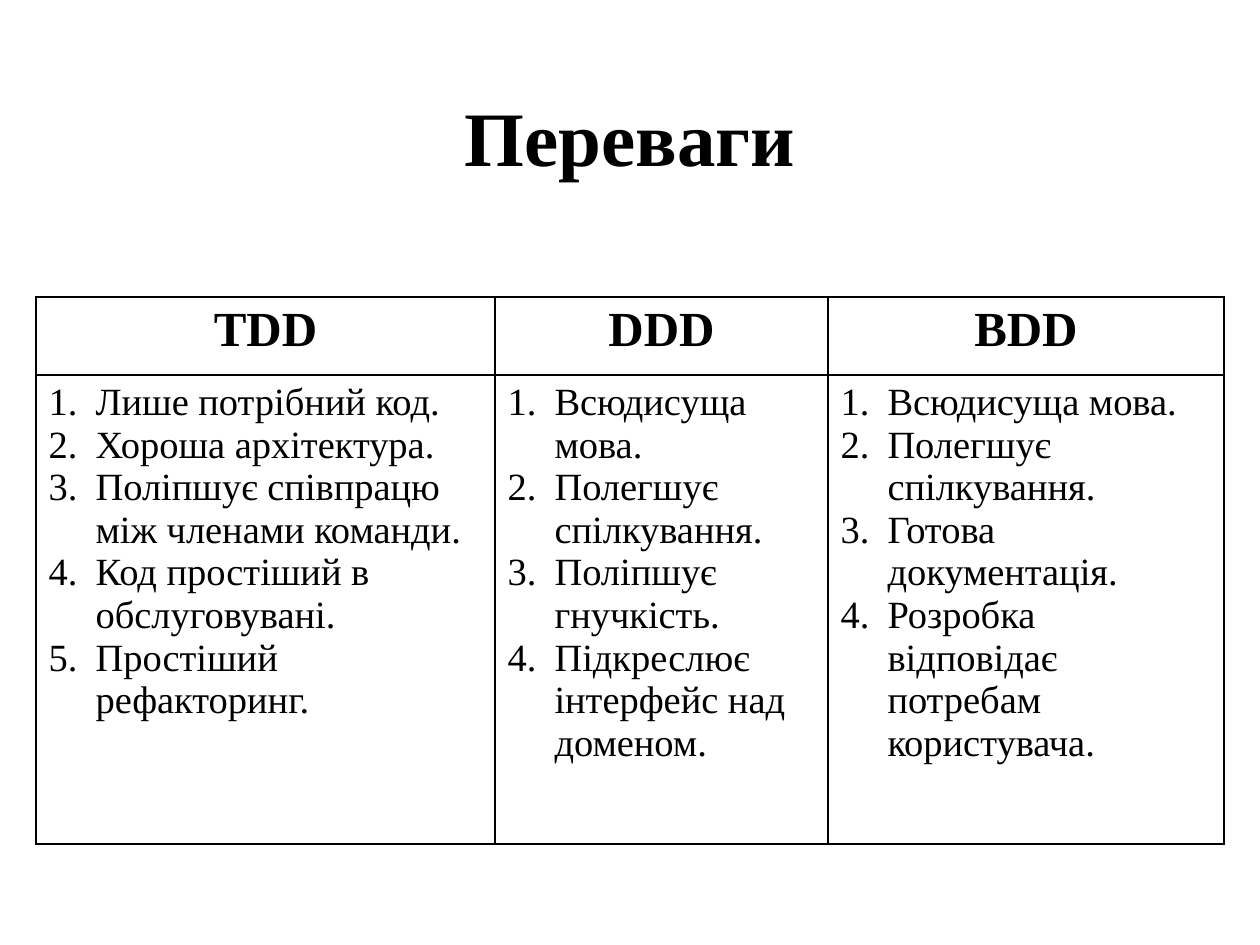
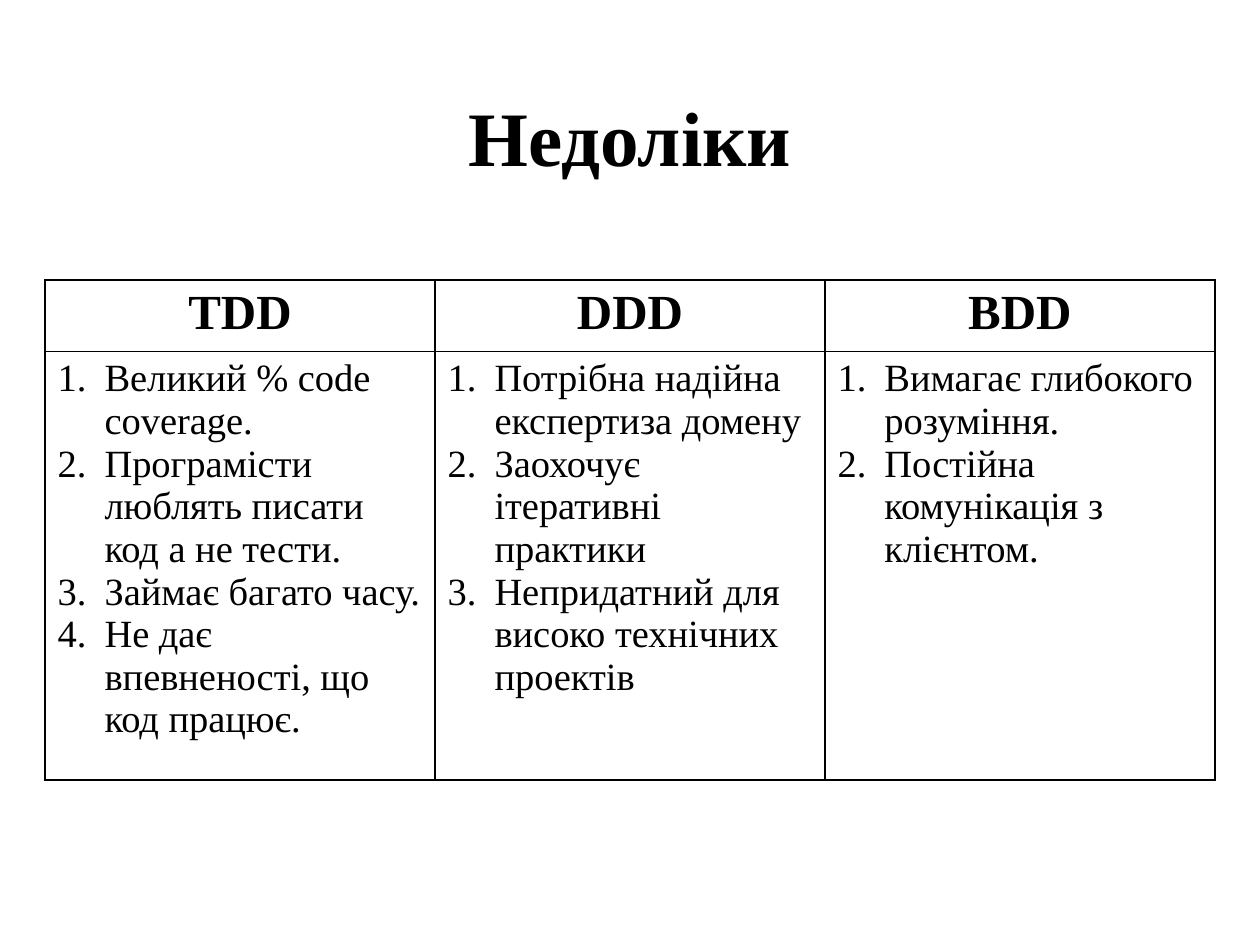
import lxml.etree
import pptx
import pptx.dml.color
import pptx.enum.text
import pptx.oxml.ns
import pptx.util

PX_PER_INCH = 126
SLIDE_WIDTH, SLIDE_HEIGHT = 1260, 945
METHODS = ["TDD", "DDD", "BDD"]

ADVANTAGES = [
    ["Лише потрібний код.", "Хороша архітектура.",
     "Поліпшує співпрацю між членами команди.",
     "Код простіший в обслуговувані.", "Простіший рефакторинг."],
    ["Всюдисуща мова.", "Полегшує спілкування.", "Поліпшує гнучкість.",
     "Підкреслює інтерфейс над доменом."],
    ["Всюдисуща мова.", "Полегшує спілкування.", "Готова документація.",
     "Розробка відповідає потребам користувача."],
]
DRAWBACKS = [
    ["Великий % code coverage.",
     "Програмісти люблять писати код а не тести.",
     "Займає багато часу.", "Не дає впевненості, що код працює."],
    ["Потрібна надійна експертиза домену", "Заохочує ітеративні практики",
     "Непридатний для високо технічних проектів"],
    ["Вимагає глибокого розуміння.", "Постійна комунікація з клієнтом."],
]


def px(length):
    return pptx.util.Emu(round(length * pptx.util.Inches(1) / PX_PER_INCH))


def color(hex_string):
    return pptx.dml.color.RGBColor.from_string(hex_string)


def add_xml(parent, tag, **attributes):
    return lxml.etree.SubElement(parent, pptx.oxml.ns.qn(tag), **attributes)


class ComparisonDeck:
    font = "Times New Roman"
    ink = "000000"
    title_size, header_size, item_size = 44, 28, 22
    border_width = 1
    list_indent = 47

    def __init__(self):
        self.deck = pptx.Presentation()
        self.deck.slide_width = px(SLIDE_WIDTH)
        self.deck.slide_height = px(SLIDE_HEIGHT)
        self.slide = None

    def add_slide(self):
        self.slide = self.deck.slides.add_slide(self.deck.slide_layouts[6])

    def format_text(self, para, size, bold):
        for span in para.runs:
            span.font.name = self.font
            span.font.size = pptx.util.Pt(size)
            span.font.bold = bold
            span.font.color.rgb = color(self.ink)

    def add_heading(self, para, text, size):
        para.text = text
        para.alignment = pptx.enum.text.PP_ALIGN.CENTER
        self.format_text(para, size, True)

    def add_title(self, text):
        box = self.slide.shapes.add_textbox(px(87), px(50), px(1086), px(183))
        frame = box.text_frame
        frame.word_wrap = True
        frame.vertical_anchor = pptx.enum.text.MSO_ANCHOR.MIDDLE
        para = frame.paragraphs[0]
        para.line_spacing = 0.9
        self.add_heading(para, text, self.title_size)

    def add_numbered_list(self, frame, items):
        frame.text = "\n".join(items)
        for para in frame.paragraphs:
            self.format_text(para, self.item_size, False)
            properties = para._p.get_or_add_pPr()
            properties.set("marL", str(px(self.list_indent)))
            properties.set("indent", str(-px(self.list_indent)))
            add_xml(properties, "a:buAutoNum", type="arabicPeriod")

    def outline_cell(self, cell):
        """Draw all four borders and leave the cell unfilled."""
        properties = cell._tc.get_or_add_tcPr()
        width = str(pptx.util.Pt(self.border_width))
        for side in "LRTB":
            line = add_xml(properties, f"a:ln{side}", w=width)
            add_xml(add_xml(line, "a:solidFill"), "a:srgbClr", val=self.ink)
        cell.fill.background()

    def add_comparison(self, left, top, column_widths, row_heights, lists):
        table = self.slide.shapes.add_table(
            len(row_heights), len(column_widths), px(left), px(top),
            px(sum(column_widths)), px(sum(row_heights))).table
        table.first_row = table.horz_banding = False
        for row, height in zip(table.rows, row_heights):
            row.height = px(height)
        for index, width in enumerate(column_widths):
            table.columns[index].width = px(width)
            header, body = table.cell(0, index), table.cell(1, index)
            self.add_heading(header.text_frame.paragraphs[0],
                             METHODS[index], self.header_size)
            self.add_numbered_list(body.text_frame, lists[index])
            self.outline_cell(header)
            self.outline_cell(body)


def main():
    builder = ComparisonDeck()

    builder.add_slide()
    builder.add_title("Переваги")
    builder.add_comparison(36, 297, [459, 333, 396], [78, 469], ADVANTAGES)

    builder.add_slide()
    builder.add_title("Недоліки")
    builder.add_comparison(45, 280, [390] * 3, [70, 396], DRAWBACKS)

    builder.deck.save("out.pptx")


if __name__ == "__main__":
    main()
